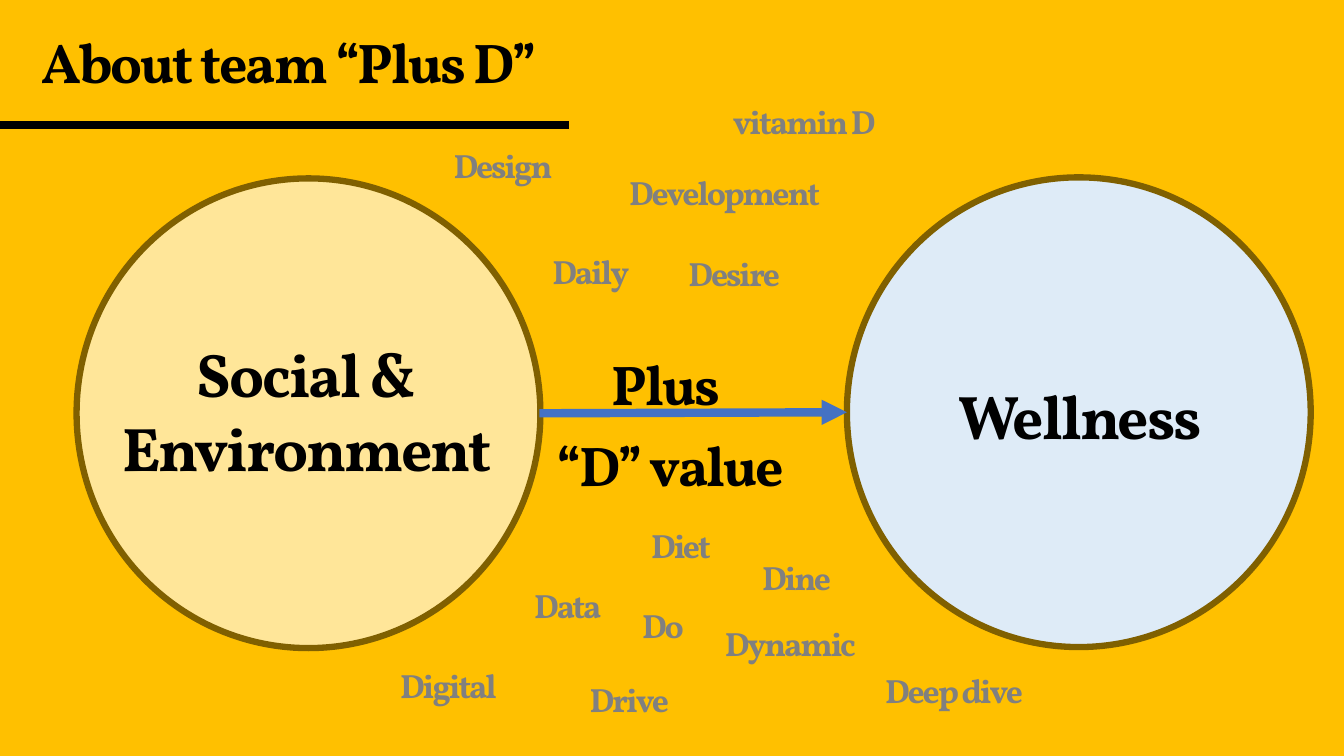
from lxml.etree import SubElement
from pptx import Presentation
from pptx.dml.color import RGBColor
from pptx.enum.shapes import MSO_CONNECTOR, MSO_SHAPE
from pptx.enum.text import MSO_ANCHOR, MSO_AUTO_SIZE, PP_ALIGN
from pptx.oxml.ns import qn
from pptx.util import Pt

PX = 9144  # 100 px to the inch
COLORS = {
    "background": "FFC000",
    "ink": "000000",
    "word": "808080",
    "ring": "806000",
    "social": "FFE699",
    "wellness": "DEEBF7",
    "arrow": "4472C4",
}
COLORS = {part: RGBColor.from_string(value) for part, value in COLORS.items()}

prs = Presentation()
prs.slide_width, prs.slide_height = 1333 * PX, 750 * PX
slide = prs.slides.add_slide(prs.slide_layouts[5])
slide.background.fill.solid()
slide.background.fill.fore_color.rgb = COLORS["background"]


def write(box, lines, size, color="ink", align=PP_ALIGN.LEFT, spacing=1.0):
    """Fill a box with one tightly tracked bold paragraph per line."""
    frame = box.text_frame
    frame.word_wrap = True
    frame.auto_size = MSO_AUTO_SIZE.SHAPE_TO_FIT_TEXT
    frame.vertical_anchor = MSO_ANCHOR.TOP
    for i, line in enumerate(lines):
        paragraph = frame.add_paragraph() if i else frame.paragraphs[0]
        paragraph.alignment = align
        paragraph.line_spacing = spacing
        run = paragraph.add_run()
        run.text = line
        run.font.name = "Vollkorn"
        run.font.size = Pt(size)
        run.font.bold = True
        run.font.color.rgb = COLORS[color]
        run._r.get_or_add_rPr().set("spc", "-150")


def draw_line(x1, y1, x2, y2, color):
    ends = [value * PX for value in (x1, y1, x2, y2)]
    line = slide.shapes.add_connector(MSO_CONNECTOR.STRAIGHT, *ends)
    line.line.color.rgb = COLORS[color]
    line.line.width = Pt(6)
    SubElement(line._element.spPr, qn("a:effectLst"))
    return line


title = slide.shapes.title
title.left, title.top, title.width, title.height = 31 * PX, 22 * PX, 526 * PX, 77 * PX
write(title, ["About team “Plus D”"], 40)
draw_line(-15, 124, 564, 124, "ink")

d_words = [
    ("vitamin D", 717, 95, 318),
    ("Design", 440, 139, 213),
    ("Development", 614, 166, 318),
    ("Daily", 538, 244, 161),
    ("Desire", 673, 246, 161),
    ("Diet", 636, 516, 161),
    ("Dine", 746, 548, 237),
    ("Data", 520, 575, 159),
    ("Do", 627, 595, 131),
    ("Dynamic", 709, 613, 237),
    ("Digital", 387, 655, 232),
    ("Deep dive", 868, 660, 182),
    ("Drive", 575, 669, 237),
]
for word, x, y, width in d_words:
    word_box = slide.shapes.add_textbox(x * PX, y * PX, width * PX, 50 * PX)
    write(word_box, [word], 24, "word")

for x, y, fill in [(76, 177, "social"), (840, 176, "wellness")]:
    circle = slide.shapes.add_shape(MSO_SHAPE.OVAL, x * PX, y * PX, 460 * PX, 466 * PX)
    circle.shadow.inherit = False
    circle.fill.solid()
    circle.fill.fore_color.rgb = COLORS[fill]
    circle.line.color.rgb = COLORS["ring"]
    circle.line.width = Pt(4.5)

arrow = draw_line(535, 410, 840, 409, "arrow")
SubElement(arrow.line._get_or_add_ln(), qn("a:tailEnd"), type="triangle")

labels = [
    (["Social &", "Environment"], 104, 328, 401, 158, 44, 1.0),
    (["Wellness"], 866, 370, 411, 84, 44, 1.0),
    (["Plus ", "“D” value"], 520, 329, 290, 166, 40, 1.2),
]
for lines, x, y, width, height, size, spacing in labels:
    label = slide.shapes.add_textbox(x * PX, y * PX, width * PX, height * PX)
    write(label, lines, size, align=PP_ALIGN.CENTER, spacing=spacing)

prs.save("out.pptx")
